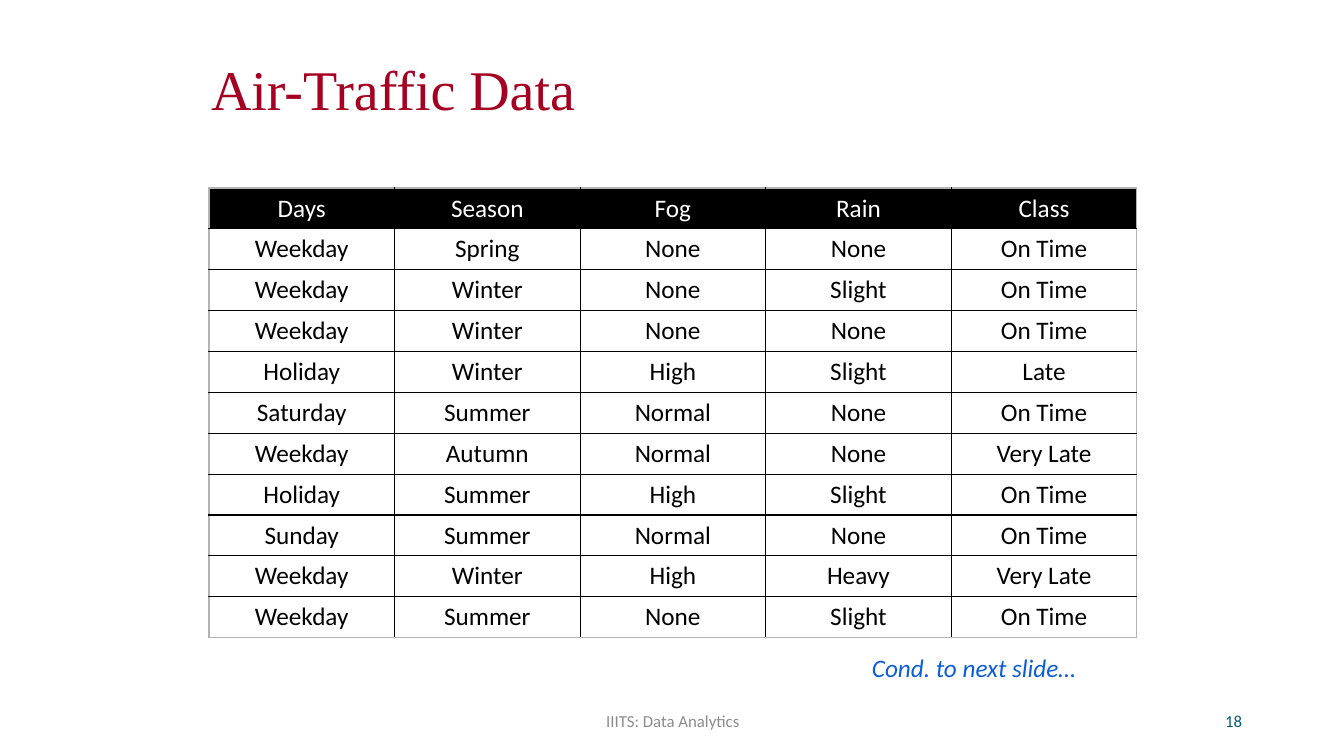
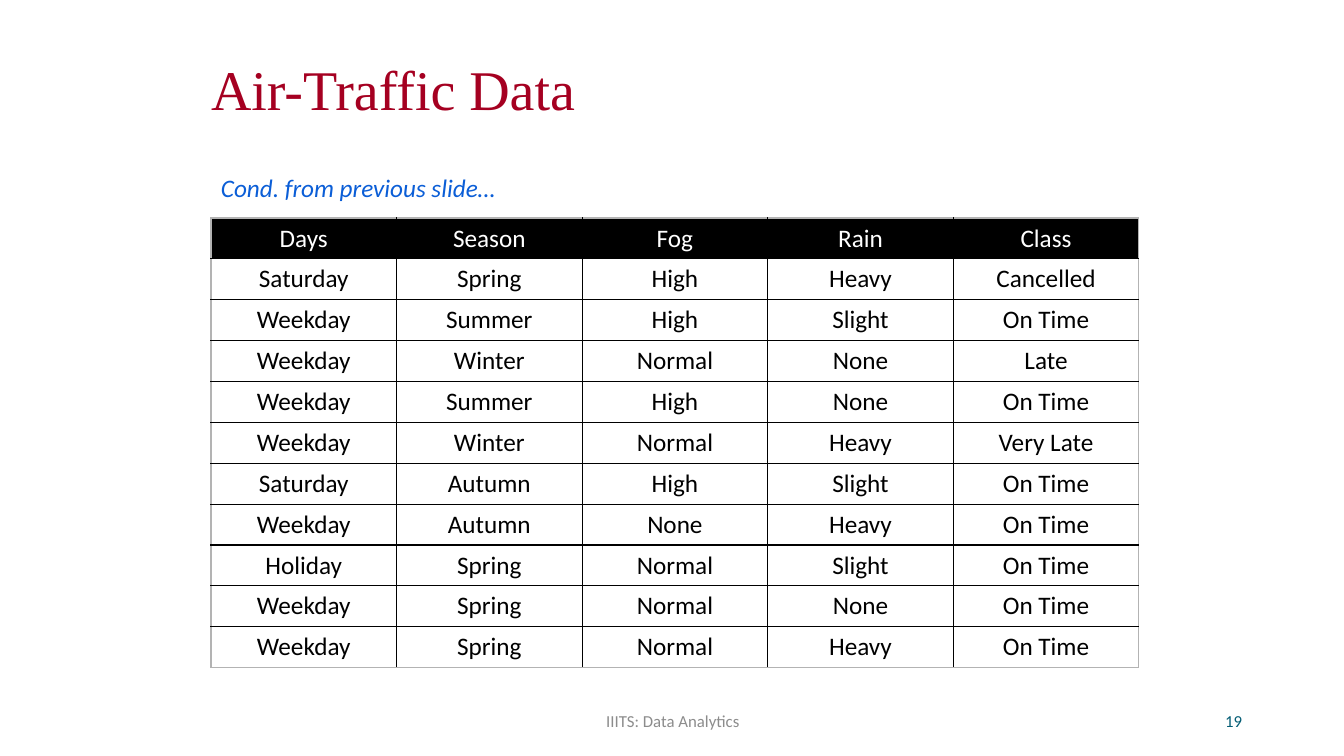
import pptx
import pptx.util
import pptx.dml.color
import pptx.enum.text
import pptx.oxml
import pptx.oxml.ns

PX = 914400 / 100.8
ALIGN = pptx.enum.text.PP_ALIGN
ANCHOR = pptx.enum.text.MSO_ANCHOR

COLORS = {
    "title": "A50021",
    "note": "0B5ED7",
    "footer": "8C8C8C",
    "number": "045D75",
    "ink": "000000",
    "paper": "FFFFFF",
    "frame": "B3B3B3",
}
STYLES = {
    "title": {"name": "Times New Roman", "size": pptx.util.Pt(40)},
    "cell": {"name": "Calibri", "size": pptx.util.Pt(18), "bold": False},
    "note": {"name": "Calibri", "size": pptx.util.Pt(18), "italic": True},
    "small": {"name": "Calibri", "size": pptx.util.Pt(12)},
}

TITLE = "Air-Traffic Data"
FOOTER = "IIITS: Data Analytics"
HEADINGS = ["Days", "Season", "Fog", "Rain", "Class"]
TABLE_SIZE = (928, 450)

SLIDES = [
    {
        "number": "18",
        "table_at": (209, 188),
        "note": "Cond. to next slide…",
        "note_box": (862, 647, 227, 40),
        "flights": [
            ["Weekday", "Spring", "None", "None", "On Time"],
            ["Weekday", "Winter", "None", "Slight", "On Time"],
            ["Weekday", "Winter", "None", "None", "On Time"],
            ["Holiday", "Winter", "High", "Slight", "Late"],
            ["Saturday", "Summer", "Normal", "None", "On Time"],
            ["Weekday", "Autumn", "Normal", "None", "Very Late"],
            ["Holiday", "Summer", "High", "Slight", "On Time"],
            ["Sunday", "Summer", "Normal", "None", "On Time"],
            ["Weekday", "Winter", "High", "Heavy", "Very Late"],
            ["Weekday", "Summer", "None", "Slight", "On Time"],
        ],
    },
    {
        "number": "19",
        "table_at": (211, 218),
        "note": "Cond. from previous slide…",
        "note_box": (211, 167, 297, 40),
        "flights": [
            ["Saturday", "Spring", "High", "Heavy", "Cancelled"],
            ["Weekday", "Summer", "High", "Slight", "On Time"],
            ["Weekday", "Winter", "Normal", "None", "Late"],
            ["Weekday", "Summer", "High", "None", "On Time"],
            ["Weekday", "Winter", "Normal", "Heavy", "Very Late"],
            ["Saturday", "Autumn", "High", "Slight", "On Time"],
            ["Weekday", "Autumn", "None", "Heavy", "On Time"],
            ["Holiday", "Spring", "Normal", "Slight", "On Time"],
            ["Weekday", "Spring", "Normal", "None", "On Time"],
            ["Weekday", "Spring", "Normal", "Heavy", "On Time"],
        ],
    },
]


def emu(*lengths):
    return [round(length * PX) for length in lengths]


def write(frame, text, style, color, align):
    frame.text = text
    paragraph = frame.paragraphs[0]
    paragraph.alignment = align
    font = paragraph.runs[0].font
    for attribute, value in STYLES[style].items():
        setattr(font, attribute, value)
    font.color.rgb = pptx.dml.color.RGBColor.from_string(COLORS[color])


deck = pptx.Presentation()
deck.slide_width, deck.slide_height = emu(1344, 756)
title_only = deck.slide_layouts[5]

for content in SLIDES:
    slide = deck.slides.add_slide(title_only)

    # Title
    title = slide.shapes.title
    title.left, title.top, title.width, title.height = emu(201, 29, 928, 126)
    write(title.text_frame, TITLE, "title", "title", ALIGN.LEFT)
    title.text_frame.vertical_anchor = ANCHOR.MIDDLE
    title.text_frame.paragraphs[0].line_spacing = 0.9

    # Table of flights
    rows = [HEADINGS] + content["flights"]
    last_row, last_column = len(rows) - 1, len(HEADINGS) - 1
    flights = slide.shapes.add_table(
        len(rows), len(HEADINGS), *emu(*content["table_at"], *TABLE_SIZE)).table
    flights.horz_banding = False
    for r, row in enumerate(rows):
        for c, value in enumerate(row):
            cell = flights.cell(r, c)
            ink, paper = ("paper", "ink") if r == 0 else ("ink", "paper")
            write(cell.text_frame, value, "cell", ink, ALIGN.CENTER)

            # Grey outer frame, black inner grid
            outer = {"lnL": c == 0, "lnR": c == last_column,
                     "lnT": r == 0, "lnB": r == last_row}
            properties = cell._tc.get_or_add_tcPr()
            for edge, on_frame in outer.items():
                color = COLORS["frame" if on_frame else "ink"]
                properties.append(pptx.oxml.parse_xml(
                    f'<a:{edge} {pptx.oxml.ns.nsdecls("a")} w="12700"><a:solidFill>'
                    f'<a:srgbClr val="{color}"/></a:solidFill></a:{edge}>'))
            cell.fill.solid()
            cell.fill.fore_color.rgb = pptx.dml.color.RGBColor.from_string(COLORS[paper])

    # Continuation note, footer and slide number
    captions = [
        (content["number"], (950, 701, 302, 40), "small", "number", ALIGN.RIGHT, ANCHOR.MIDDLE),
        (content["note"], content["note_box"], "note", "note", ALIGN.LEFT, ANCHOR.TOP),
        (FOOTER, (446, 701, 454, 40), "small", "footer", ALIGN.CENTER, ANCHOR.MIDDLE),
    ]
    for text, box, style, color, align, anchor in captions:
        caption = slide.shapes.add_textbox(*emu(*box)).text_frame
        caption.word_wrap = style != "note"
        caption.vertical_anchor = anchor
        write(caption, text, style, color, align)

deck.save("out.pptx")
